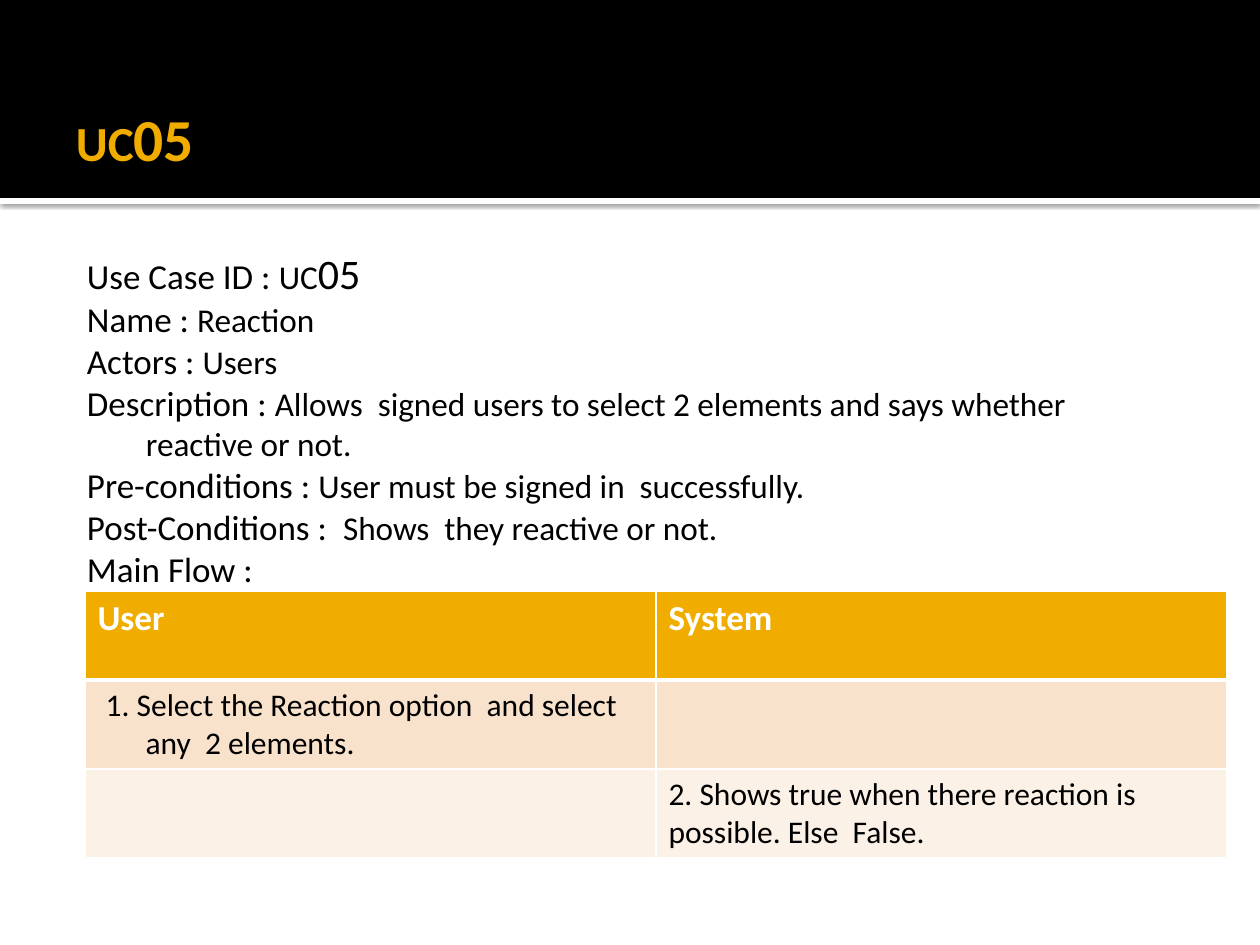
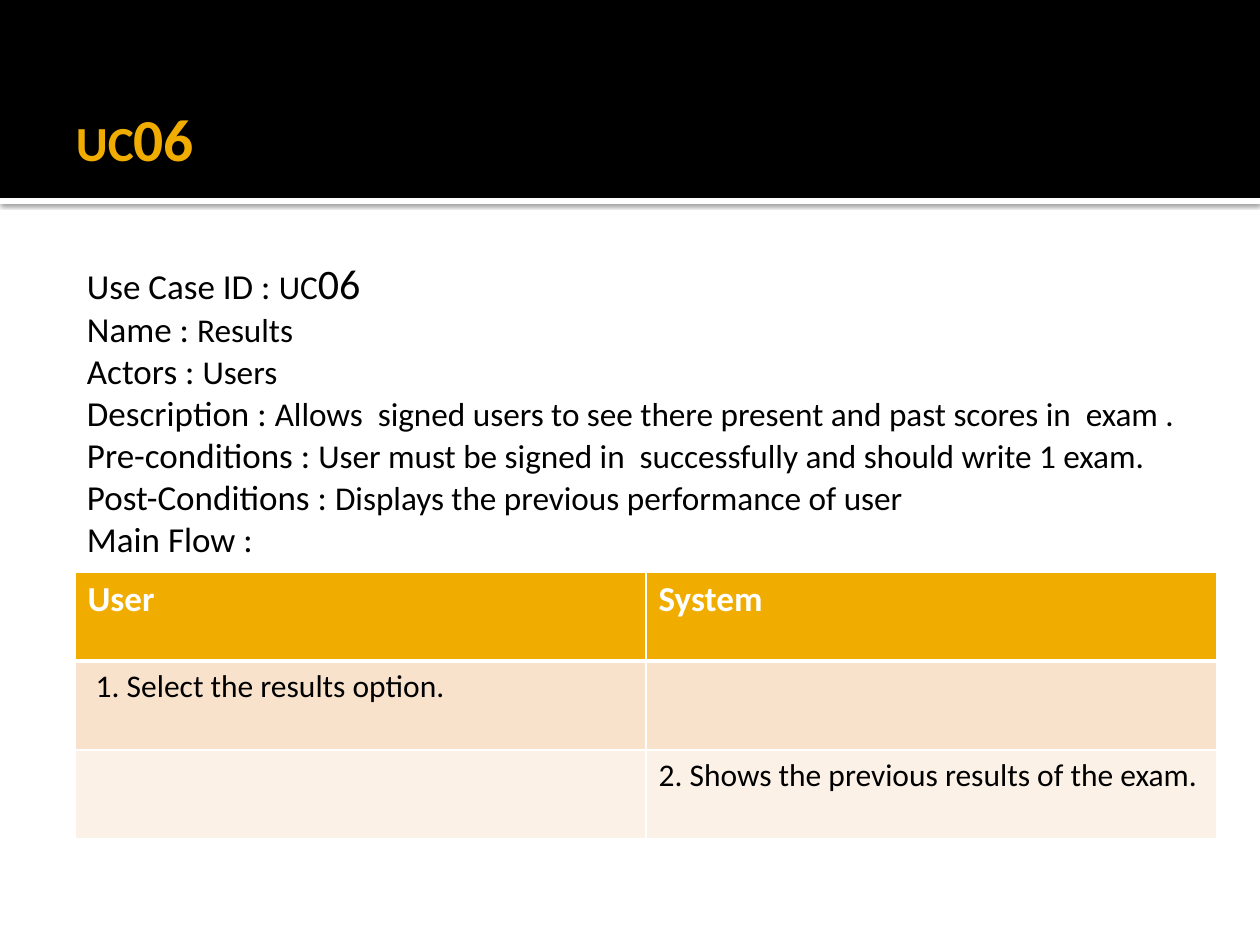
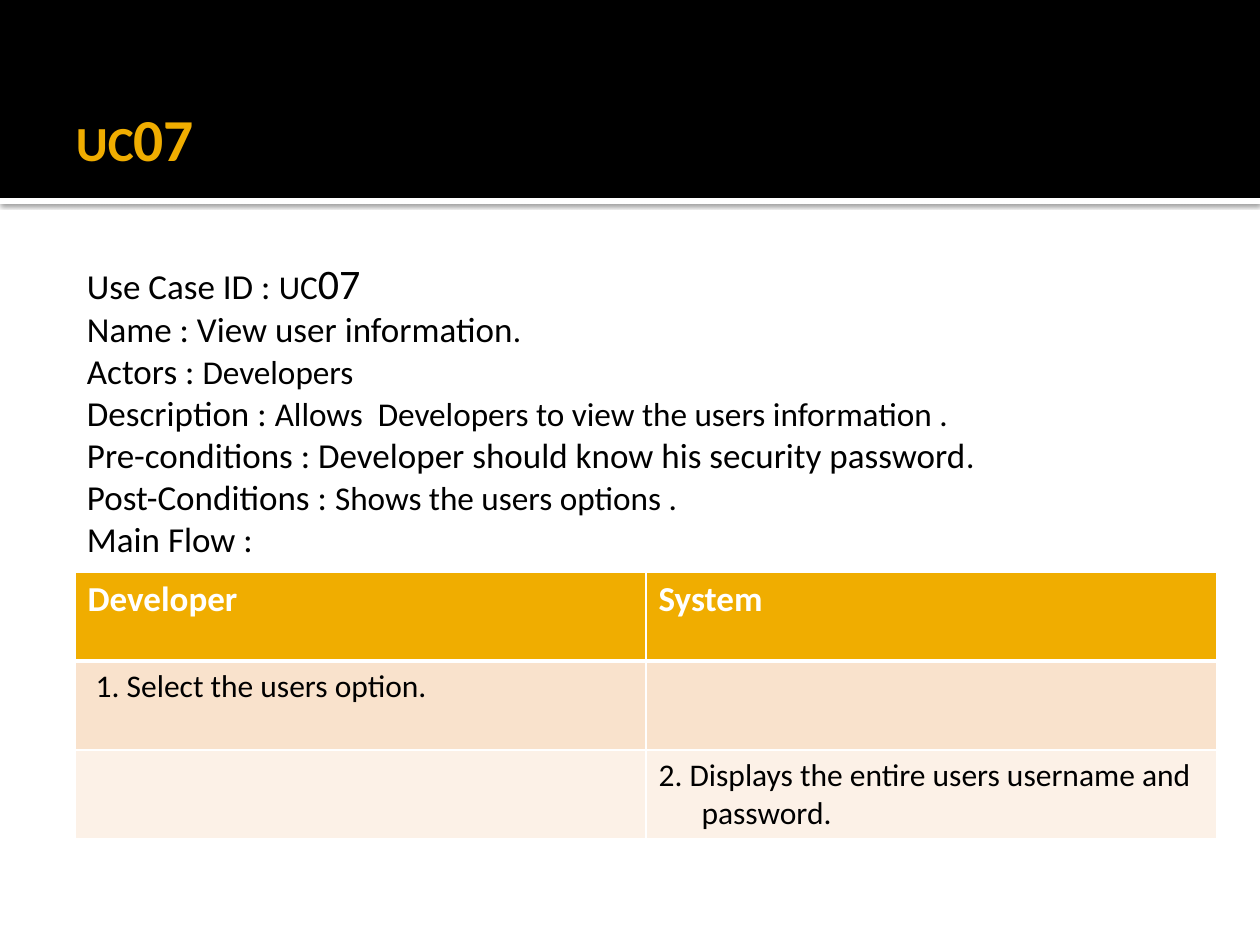
from lxml.etree import SubElement
from pptx import Presentation
from pptx.dml.color import RGBColor
from pptx.enum.shapes import MSO_SHAPE
from pptx.enum.text import MSO_ANCHOR
from pptx.oxml.ns import qn
from pptx.util import Emu, Pt

SCALE = 914400 / 126
FONT = "Calibri"
BLACK = RGBColor(0, 0, 0)
WHITE = RGBColor(0xFF, 0xFF, 0xFF)
GOLD = RGBColor(0xF0, 0xAD, 0x00)
PEACH = RGBColor(0xF9, 0xE2, 0xCC)
CREAM = RGBColor(0xFC, 0xF1, 0xE7)

BODY = {"size": Pt(20), "color": BLACK}
SMALL = {"size": Pt(19), "color": BLACK}
LARGE = {"size": Pt(24), "color": BLACK}
TITLE = {"size": Pt(28), "color": GOLD, "bold": True}
DIGIT = {"size": Pt(34), "color": GOLD, "bold": True}
HEAD = {"size": Pt(20), "color": WHITE, "bold": True}
STEP = {"size": Pt(18), "color": BLACK, "bold": False}

THIN, THICK = 0.96, 3
LABELS = ["Name", "Actors", "Description", "Pre-conditions", "Post-Conditions"]

CASES = [
    {
        "code": "05", "top": 234, "grid": (85, 591), "actor": "User",
        "facts": [
            ("", "Reaction"),
            ("", "Users"),
            ("", "Allows  signed users to select 2 elements and says whether\vreactive or not."),
            ("", "User must be signed in  successfully."),
            (" ", "Shows  they reactive or not."),
        ],
        "first": " 1. Select the Reaction option  and select any  2 elements.",
        "second": "2. Shows true when there reaction is possible. Else  False.",
        "hang": 0,
    },
    {
        "code": "06", "top": 244, "grid": (75, 572), "actor": "User",
        "facts": [
            ("", "Results"),
            ("", "Users"),
            ("", "Allows  signed users to see there present and past scores in  exam ."),
            ("", "User must be signed in  successfully and should write 1 exam."),
            ("", "Displays the previous performance of user"),
        ],
        "first": " 1. Select the results option.",
        "second": "2. Shows the previous results of the exam.",
        "hang": 0,
    },
    {
        "code": "07", "top": 244, "grid": (75, 572), "actor": "Developer",
        "facts": [
            ("View user information", "."),
            ("", "Developers"),
            ("", "Allows  Developers to view the users information ."),
            ("Developer should know his security password", "."),
            ("", "Shows the users options ."),
        ],
        "first": " 1. Select the users option.",
        "second": "2. Displays the entire users username and password.",
        "hang": 43,
    },
]


def px(num):
    """Turn pixels into EMU."""
    return Emu(round(num * SCALE))


def style(font, look):
    """Apply a dict of format values to a font."""
    font.name = FONT
    for key, value in look.items():
        if key == "color":
            font.color.rgb = value
        else:
            setattr(font, key, value)


def write(para, runs, left=0, first=0):
    """Fill a paragraph with styled runs and set its indents."""
    props = para._p.get_or_add_pPr()
    for key, value in {"marL": left, "indent": first}.items():
        props.set(key, str(px(value)))
    for text, look in runs:
        for spot, part in enumerate(text.split("\v")):
            if spot:
                para.add_line_break()
            run = para.add_run()
            run.text = part
            style(run.font, look)


def add_box(slide, area, pads, anchor):
    """Add a wrapping text box and return its frame."""
    frame = slide.shapes.add_textbox(*map(px, area)).text_frame
    frame.word_wrap = True
    frame.vertical_anchor = anchor
    for side, pad in zip(("left", "top", "right", "bottom"), pads):
        setattr(frame, "margin_" + side, px(pad))
    return frame


def add_band(slide, top, height, color):
    """Add a full-width band without an outline."""
    band = slide.shapes.add_shape(
        MSO_SHAPE.RECTANGLE, 0, px(top), px(1260), px(height))
    band.shadow.inherit = False
    band.fill.solid()
    band.fill.fore_color.rgb = color
    band.line.fill.background()
    return band


def add_shade(shape):
    """Give a shape a soft shadow below it."""
    effects = shape._element.spPr.find(qn("a:effectLst"))
    shade = SubElement(effects, qn("a:outerShdw"), blurRad=str(Pt(2.5)),
                       dist=str(Pt(0.8)), dir="5400000", rotWithShape="0")
    color = SubElement(shade, qn("a:srgbClr"), val=str(BLACK))
    SubElement(color, qn("a:alpha"), val="60000")


def add_title(slide, code):
    """Add the bands and the use case title."""
    add_shade(add_band(slide, 198, 6, WHITE))
    add_band(slide, 0, 198, BLACK)
    frame = add_box(slide, (63, 21, 1134, 173), (13, 66, 6, 6), MSO_ANCHOR.MIDDLE)
    write(frame.paragraphs[0], [("UC", TITLE), (code, DIGIT)])


def add_facts(slide, case):
    """Add the list of use case facts."""
    top = case["top"]
    frame = add_box(slide, (63, top, 1134, 882 - top), (8, 13, 13, 6), MSO_ANCHOR.TOP)
    lines = [[("Use Case ID : ", BODY), ("UC", SMALL), (case["code"], LARGE)]]
    for label, (lead, rest) in zip(LABELS, case["facts"]):
        lines.append([(f"{label} : {lead}", BODY), (rest, SMALL)])
    lines.append([("Main Flow :", BODY)])
    for spot, runs in enumerate(lines):
        para = frame.add_paragraph() if spot else frame.paragraphs[0]
        write(para, runs, 75, -59)


def add_edges(cell, top, bottom):
    """Draw the white borders of a cell."""
    props = cell._tc.get_or_add_tcPr()
    for side, width in {"L": THIN, "R": THIN, "T": top, "B": bottom}.items():
        line = SubElement(props, qn("a:ln" + side), w=str(Pt(width)))
        fill = SubElement(line, qn("a:solidFill"))
        SubElement(fill, qn("a:srgbClr"), val=str(WHITE))


def add_flow(slide, case):
    """Add the main flow table."""
    left, top = case["grid"]
    table = slide.shapes.add_table(
        3, 2, px(left), px(top), px(1142), px(267)).table
    for col in table.columns:
        col.width = px(571)
    cells = [[(case["actor"], 0, 0), ("System", 0, 0)],
             [(case["first"], 48, -47), None],
             [None, (case["second"], case["hang"], -case["hang"])]]
    looks = [(GOLD, HEAD, THIN, THICK), (PEACH, STEP, THICK, THIN),
             (CREAM, STEP, THIN, THIN)]
    for row, (items, (color, look, *edges)) in enumerate(zip(cells, looks)):
        table.rows[row].height = px(89)
        for col, item in enumerate(items):
            cell = table.cell(row, col)
            add_edges(cell, *edges)
            cell.fill.solid()
            cell.fill.fore_color.rgb = color
            if item:
                text, margin, first = item
                write(cell.text_frame.paragraphs[0], [(text, look)], margin, first)


def main():
    """Build the use case slides."""
    deck = Presentation()
    deck.slide_width, deck.slide_height = px(1260), px(945)
    for case in CASES:
        slide = deck.slides.add_slide(deck.slide_layouts[6])
        add_title(slide, case["code"])
        add_facts(slide, case)
        add_flow(slide, case)
    deck.save("out.pptx")


main()
